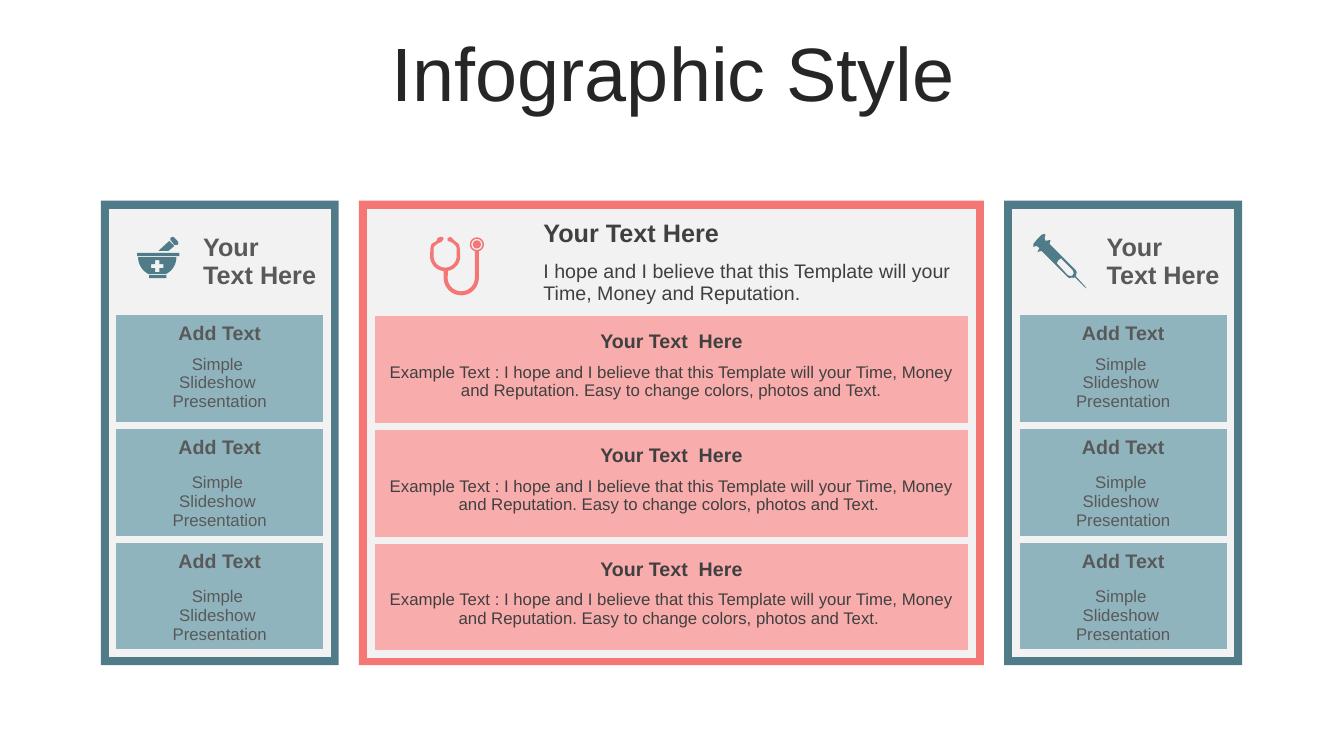
from math import cos, radians, sin

from lxml.etree import SubElement
from pptx import Presentation
from pptx.dml.color import RGBColor
from pptx.enum.shapes import MSO_SHAPE
from pptx.enum.text import MSO_ANCHOR, PP_ALIGN
from pptx.oxml.ns import qn
from pptx.util import Inches, Pt

COLORS = {
    "title": "262626", "teal": "507C89", "light_teal": "90B4BE",
    "coral": "F47775", "light_coral": "F8ADAC", "paper": "F2F2F2",
    "side_text": "595959", "center_text": "404040",
}
SLIDE_WIDTH, SLIDE_HEIGHT = 13.33, 7.5
MARGIN, GAP, INSET = 1, 0.2, 0.12
PANEL_TOP, PANEL_HEIGHT = 1.99, 4.61
SIDE_WIDTH, CENTER_WIDTH = 2.36, 6.2
CENTER_LEFT = MARGIN + SIDE_WIDTH + GAP
RIGHT_LEFT = CENTER_LEFT + CENTER_WIDTH + GAP
PLAIN_STYLE = "{2D5ABB26-0587-4C30-8999-92F81FD0307C}"

HEADING = {"size": Pt(18), "bold": True}
SUBHEADING = {"size": Pt(14), "bold": True}
INTRO = {"size": Pt(14), "bold": False}
BODY = {"size": Pt(12), "bold": False}

SIDE_HEADING = ["Your", "Text Here"]
SIDE_BODY = ["Simple ", "Slideshow ", "Presentation"]
INTRO_TEXT = "I hope and I believe that this Template will your Time, Money and Reputation."
EXAMPLE = f"Example Text : {INTRO_TEXT} Easy to change colors, photos and Text."


def color(name):
    return RGBColor.from_string(COLORS[name])


def paint(shape, fill):
    shape.shadow.inherit = False
    shape.fill.solid()
    shape.fill.fore_color.rgb = color(fill)
    shape.line.fill.background()


def write(frame, lines, text_color, font, align):
    for index, line in enumerate(lines):
        paragraph = frame.paragraphs[0] if index == 0 else frame.add_paragraph()
        paragraph.alignment = align
        run = paragraph.add_run()
        run.text = line
        run.font.name = "Arial"
        run.font.color.rgb = color(text_color)
        for key, value in font.items():
            setattr(run.font, key, value)


def add_title(slide, text):
    box = slide.shapes.add_textbox(
        Inches(0.026 * SLIDE_WIDTH), Inches(0.05 * SLIDE_HEIGHT),
        Inches(0.95 * SLIDE_WIDTH), Inches(0.105 * SLIDE_HEIGHT))
    frame = box.text_frame
    frame.word_wrap = True
    frame.vertical_anchor = MSO_ANCHOR.MIDDLE
    write(frame, [text], "title", {"size": Pt(54)}, PP_ALIGN.CENTER)
    frame.paragraphs[0].line_spacing = 0.9


def style_cell(cell, fill, sides):
    properties = cell._tc.get_or_add_tcPr()
    for side in "LRTB":
        line = SubElement(properties, qn(f"a:ln{side}"), w=str(Pt(6)))
        if side in sides:
            SubElement(SubElement(line, qn("a:solidFill")), qn("a:srgbClr"), val=COLORS["paper"])
        else:
            SubElement(line, qn("a:noFill"))
    cell.fill.solid()
    cell.fill.fore_color.rgb = color(fill)


def fill_cell(cell, lines, text_color, font, anchor, align=PP_ALIGN.LEFT):
    cell.vertical_anchor = anchor
    write(cell.text_frame, lines, text_color, font, align)


def add_panel(slide, left, width, frame_color, columns, rows):
    outer = slide.shapes.add_shape(
        MSO_SHAPE.RECTANGLE, Inches(left), Inches(PANEL_TOP), Inches(width), Inches(PANEL_HEIGHT))
    paint(outer, frame_color)
    frame = slide.shapes.add_table(
        len(rows), len(columns), Inches(left + (width - sum(columns)) / 2),
        Inches(PANEL_TOP + INSET), Inches(sum(columns)), Inches(sum(rows)))
    table = frame.table
    table.first_row = table.horz_banding = False
    table._tbl.tblPr.find(qn("a:tableStyleId")).text = PLAIN_STYLE
    for column, size in zip(table.columns, columns):
        column.width = Inches(size)
    for row, size in zip(table.rows, rows):
        row.height = Inches(size)
    return table


def add_sections(table, first_row, fill, text_color, heading, bodies):
    for index, (lines, anchor) in enumerate(bodies):
        row = first_row + 2 * index
        for offset, sides in enumerate(("LRT", "LRB")):
            for column in range(2):
                style_cell(table.cell(row + offset, column), fill, sides)
            table.cell(row + offset, 0).merge(table.cell(row + offset, 1))
        fill_cell(table.cell(row, 0), [heading], text_color, SUBHEADING,
                  MSO_ANCHOR.BOTTOM, PP_ALIGN.CENTER)
        fill_cell(table.cell(row + 1, 0), lines, text_color, BODY, anchor, PP_ALIGN.CENTER)


def add_side_panel(slide, left):
    table = add_panel(slide, left, SIDE_WIDTH, "teal", [0.8, 1.33], [0.98] + [0.38, 0.75] * 3)
    for column, sides in enumerate(("LTB", "RTB")):
        style_cell(table.cell(0, column), "paper", sides)
    fill_cell(table.cell(0, 1), SIDE_HEADING, "side_text", HEADING, MSO_ANCHOR.MIDDLE)
    anchors = [MSO_ANCHOR.TOP, MSO_ANCHOR.MIDDLE, MSO_ANCHOR.MIDDLE]
    add_sections(table, 1, "light_teal", "side_text", "Add Text",
                 [(SIDE_BODY, anchor) for anchor in anchors])


def add_center_panel(slide):
    table = add_panel(slide, CENTER_LEFT, CENTER_WIDTH, "coral",
                      [1.61, 4.35], [0.4, 0.59] + [0.45, 0.68] * 3)
    for row in range(2):
        for column, sides in enumerate(("LTB", "RTB")):
            style_cell(table.cell(row, column), "paper", sides)
    table.cell(0, 0).merge(table.cell(1, 0))
    fill_cell(table.cell(0, 1), ["Your Text Here"], "center_text", HEADING, MSO_ANCHOR.BOTTOM)
    fill_cell(table.cell(1, 1), [INTRO_TEXT], "center_text", INTRO, MSO_ANCHOR.MIDDLE)
    add_sections(table, 2, "light_coral", "center_text", "Your Text  Here",
                 [([EXAMPLE + ending], MSO_ANCHOR.TOP) for ending in ("", " ", " ")])


def arc(x, y, radius, start, end, steps=20):
    angles = [radians(start + (end - start) * step / steps) for step in range(steps + 1)]
    return [(x + radius * cos(angle), y + radius * sin(angle)) for angle in angles]


def box(left, top, right, bottom):
    return [(left, top), (right, top), (right, bottom), (left, bottom)]


def add_icon(slide, fill, contours):
    outlines = [[(Inches(x), Inches(y)) for x, y in contour] for contour in contours]
    builder = slide.shapes.build_freeform(*outlines[0][0])
    for index, outline in enumerate(outlines):
        if index:
            builder.move_to(*outline[0])
        builder.add_line_segments(outline[1:], close=True)
    paint(builder.convert_to_shape(), fill)


def add_mortar(slide):
    cross = [(1.54, 2.58), (1.54, 2.62), (1.5, 2.62), (1.5, 2.66), (1.54, 2.66), (1.54, 2.7),
             (1.58, 2.7), (1.58, 2.66), (1.62, 2.66), (1.62, 2.62), (1.58, 2.62), (1.58, 2.58)]
    bowl = arc(1.56, 2.55, 0.19, 0, 63) + arc(1.56, 2.55, 0.19, 117, 180)
    pestle = [(1.68, 2.39), (1.73, 2.44), (1.67, 2.49), (1.57, 2.49)]
    knob = [(1.71, 2.35), (1.72, 2.35), (1.76, 2.39), (1.77, 2.41), (1.76, 2.43),
            (1.73, 2.43), (1.69, 2.38), (1.69, 2.36)]
    add_icon(slide, "teal", [box(1.48, 2.73, 1.65, 2.76), cross, bowl,
                             box(1.36, 2.51, 1.78, 2.54), pestle, knob])


def add_syringe(slide):
    window = [(10.53, 2.56), (10.5, 2.58), (10.48, 2.61), (10.59, 2.73), (10.62, 2.74),
              (10.64, 2.73), (10.65, 2.71), (10.64, 2.68), (10.53, 2.57)]
    body = [(10.36, 2.32), (10.37, 2.33), (10.36, 2.36), (10.37, 2.39), (10.42, 2.38),
            (10.41, 2.42), (10.67, 2.68), (10.68, 2.7), (10.67, 2.74), (10.78, 2.86),
            (10.76, 2.85), (10.66, 2.75), (10.64, 2.76), (10.64, 2.75), (10.61, 2.76),
            (10.59, 2.75), (10.33, 2.49), (10.29, 2.5), (10.31, 2.46), (10.28, 2.44),
            (10.25, 2.45), (10.25, 2.42), (10.29, 2.37), (10.33, 2.33)]
    add_icon(slide, "teal", [window, body])


def add_stethoscope(slide):
    yoke, loop, chest = (4.415, 2.54), (4.575, 2.755), (4.73, 2.425)
    outline = [
        (4.37, 2.35), (4.39, 2.35), (4.4, 2.37), (4.38, 2.4), (4.35, 2.41), (4.31, 2.44),
        (4.3, 2.46), *arc(*yoke, 0.115, 180, 0), (4.53, 2.46), (4.52, 2.44), (4.49, 2.41),
        (4.47, 2.4), (4.44, 2.39), (4.44, 2.36), (4.47, 2.35), (4.49, 2.37), (4.51, 2.39),
        (4.55, 2.42), (4.56, 2.46), *arc(*yoke, 0.15, 0, 79), *arc(*loop, 0.135, 180, 0),
        *arc(*chest, 0.07, 106, 434), *arc(*loop, 0.175, 0, 180), *arc(*yoke, 0.15, 96, 180),
        (4.27, 2.46), (4.28, 2.42), (4.33, 2.39), (4.34, 2.36)]
    add_icon(slide, "coral", [outline, arc(*chest, 0.055, 0, 360), arc(*chest, 0.04, 0, 360)])


def main():
    presentation = Presentation()
    presentation.slide_width = Inches(SLIDE_WIDTH)
    presentation.slide_height = Inches(SLIDE_HEIGHT)
    slide = presentation.slides.add_slide(presentation.slide_layouts[6])
    add_title(slide, "Infographic Style")
    add_side_panel(slide, RIGHT_LEFT)
    add_center_panel(slide)
    add_side_panel(slide, MARGIN)
    add_mortar(slide)
    add_syringe(slide)
    add_stethoscope(slide)
    presentation.save("out.pptx")


if __name__ == "__main__":
    main()
